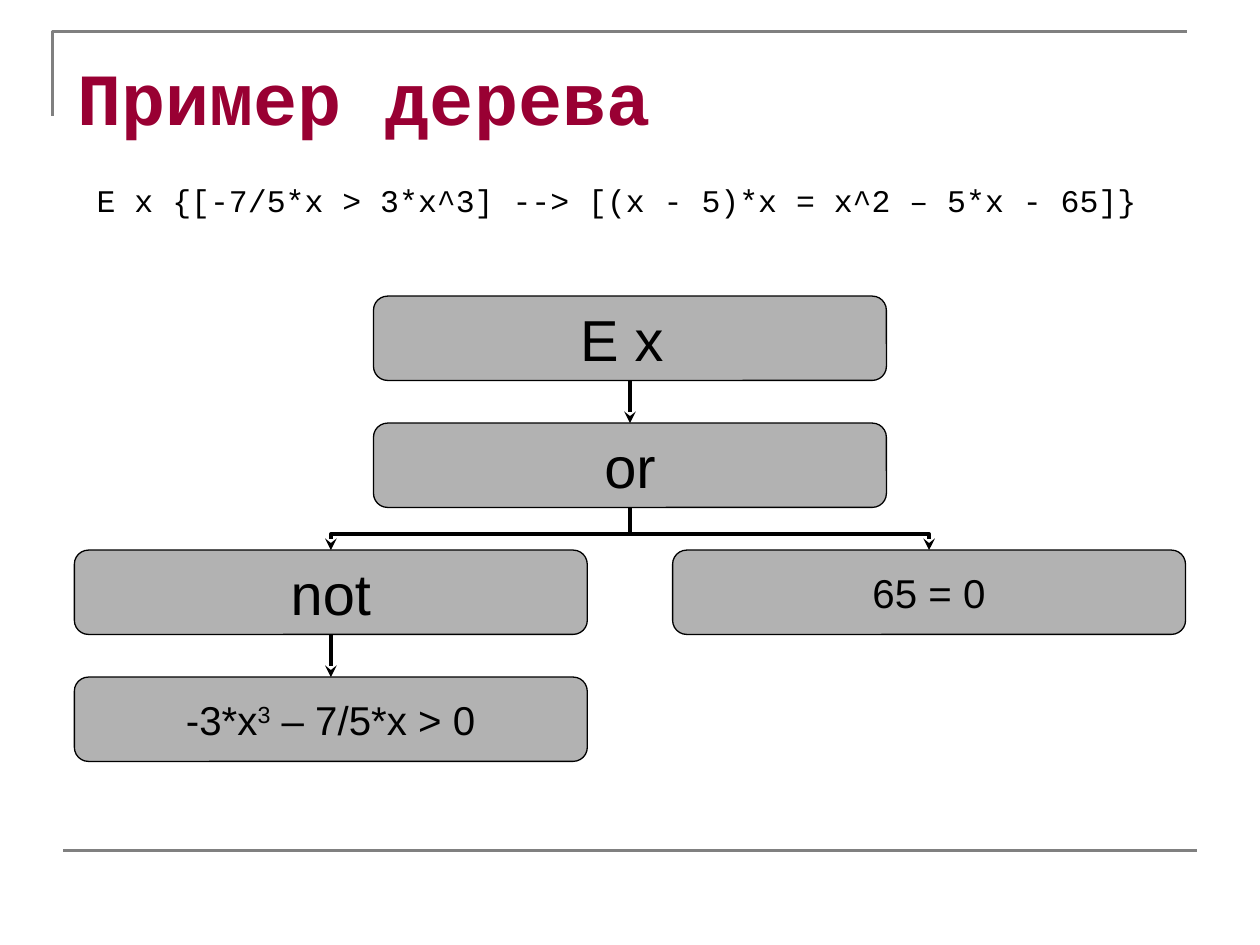
from lxml.etree import SubElement
from pptx import Presentation
from pptx.dml.color import RGBColor
from pptx.enum.shapes import MSO_CONNECTOR, MSO_SHAPE
from pptx.enum.text import MSO_ANCHOR, MSO_AUTO_SIZE, PP_ALIGN
from pptx.oxml.ns import qn
from pptx.util import Cm, Pt

COLORS = {"title": "990033", "text": "000000", "box": "B2B2B2", "frame": "808080"}
BOX_WIDTH, BOX_HEIGHT = 10.34, 1.7
TREE_LEFT, TREE_TOP = 1.5, 5.97
COLUMN_STEP, ROW_STEP = 6.03, 2.56


class SlideBuilder:
    def __init__(self, slide):
        self.slide = slide
        self.shapes = slide.shapes

    def color(self, name):
        return RGBColor.from_string(COLORS[name])

    def format_runs(self, paragraph, font_name, size, color="text", bold=False):
        for run in paragraph.runs:
            run.font.name = font_name
            run.font.size = Pt(size)
            run.font.bold = bold
            run.font.color.rgb = self.color(color)

    def place(self, shape, left, top, width, height):
        shape.left, shape.top = Cm(left), Cm(top)
        shape.width, shape.height = Cm(width), Cm(height)

    def stroke(self, shape, color, width):
        shape.line.color.rgb = self.color(color)
        shape.line.width = Pt(width)

    def remove_effects(self, connector):
        SubElement(connector._element.spPr, qn("a:effectLst"))

    def title(self, text, left, top, width, height):
        title = self.shapes.title
        self.place(title, left, top, width, height)
        text_frame = title.text_frame
        text_frame.text = text
        text_frame.auto_size = MSO_AUTO_SIZE.NONE
        text_frame.vertical_anchor = MSO_ANCHOR.TOP
        paragraph = text_frame.paragraphs[0]
        paragraph.alignment = PP_ALIGN.LEFT
        paragraph.space_before = Pt(10.5)
        self.format_runs(paragraph, "Courier New", 42, "title", True)

    def formula(self, text, left, top, width, height):
        box = self.shapes.add_textbox(Cm(left), Cm(top), Cm(width), Cm(height))
        box.text_frame.word_wrap = True
        box.text_frame.text = text
        paragraph = box.text_frame.paragraphs[0]
        paragraph.space_before = Pt(4.5)
        self.format_runs(paragraph, "Courier New", 18)

    def corner(self, left, top, right, bottom):
        builder = self.shapes.build_freeform(Cm(left), Cm(bottom))
        builder.add_line_segments([(Cm(left), Cm(top)), (Cm(right), Cm(top))], close=False)
        shape = builder.convert_to_shape()
        shape.shadow.inherit = False
        shape.fill.background()
        self.stroke(shape, "frame", 1.5)

    def rule(self, left, right, top):
        line = self.shapes.add_connector(
            MSO_CONNECTOR.STRAIGHT, Cm(left), Cm(top), Cm(right), Cm(top))
        self.stroke(line, "frame", 1.5)
        self.remove_effects(line)

    def node(self, column, row, parts, size):
        shape = self.shapes.add_shape(
            MSO_SHAPE.ROUNDED_RECTANGLE,
            Cm(TREE_LEFT + column * COLUMN_STEP), Cm(TREE_TOP + row * ROW_STEP),
            Cm(BOX_WIDTH), Cm(BOX_HEIGHT))
        shape.shadow.inherit = False
        shape.fill.solid()
        shape.fill.fore_color.rgb = self.color("box")
        self.stroke(shape, "text", 0.75)
        text_frame = shape.text_frame
        text_frame.word_wrap = False
        text_frame.vertical_anchor = MSO_ANCHOR.MIDDLE
        text_frame.margin_left = text_frame.margin_right = 0
        text_frame.margin_top = text_frame.margin_bottom = 0
        paragraph = text_frame.paragraphs[0]
        paragraph.alignment = PP_ALIGN.CENTER
        for text, baseline in parts:
            run = paragraph.add_run()
            run.text = text
            if baseline:
                run.font._element.set("baseline", str(baseline))
        self.format_runs(paragraph, "Arial", size)
        return shape

    def branch(self, parent, child):
        start_x = parent.left + parent.width // 2
        end_x = child.left + child.width // 2
        start_y, end_y = parent.top + parent.height, child.top
        straight = start_x == end_x
        kind = MSO_CONNECTOR.STRAIGHT if straight else MSO_CONNECTOR.ELBOW
        connector = self.shapes.add_connector(kind, start_x, start_y, end_x, end_y)
        connector.begin_connect(parent, 2)
        connector.end_connect(child, 0)
        if not straight:
            self.turn_downward(connector, start_x, start_y, end_x, end_y)
        self.stroke(connector, "text", 2.25)
        SubElement(connector.line._get_or_add_ln(), qn("a:tailEnd"), type="stealth")
        self.remove_effects(connector)

    def turn_downward(self, connector, start_x, start_y, end_x, end_y):
        drop, span = end_y - start_y, abs(end_x - start_x)
        connector.width, connector.height = drop, span
        connector.left = (start_x + end_x - drop) // 2
        connector.top = (start_y + end_y - span) // 2
        properties = connector._element.spPr
        transform = properties.find(qn("a:xfrm"))
        goes_right = end_x > start_x
        transform.set("rot", "16200000" if goes_right else "5400000")
        transform.set("flipH", "1" if goes_right else "0")
        transform.set("flipV", "0")
        adjustments = properties.find(qn("a:prstGeom")).find(qn("a:avLst"))
        SubElement(adjustments, qn("a:gd"), name="adj1", fmla="val 62800")


def main():
    presentation = Presentation()
    presentation.slide_width, presentation.slide_height = Cm(25.4), Cm(19.05)
    builder = SlideBuilder(presentation.slides.add_slide(presentation.slide_layouts[5]))

    builder.corner(1.06, 0.64, 23.92, 2.33)
    builder.rule(1.27, 24.13, 17.15)
    builder.title("Пример дерева", 1.3, 0.92, 23.01, 2.59)
    builder.formula("E x {[-7/5*x > 3*x^3] --> [(x - 5)*x = x^2 – 5*x - 65]}",
                    1.7, 3.53, 21.62, 2.18)

    quantifier = builder.node(1, 0, [("E x ", 0)], 33)
    disjunction = builder.node(1, 1, [("or", 0)], 33)
    negation = builder.node(0, 2, [("not", 0)], 33)
    equality = builder.node(2, 2, [("65 = 0", 0)], 23)
    inequality = builder.node(
        0, 3, [("-3*x", 0), ("3", 30000), (" – 7/5*x > 0", 0)], 23)

    for parent, child in [(quantifier, disjunction), (disjunction, negation),
                          (disjunction, equality), (negation, inequality)]:
        builder.branch(parent, child)

    presentation.save("out.pptx")


if __name__ == "__main__":
    main()
